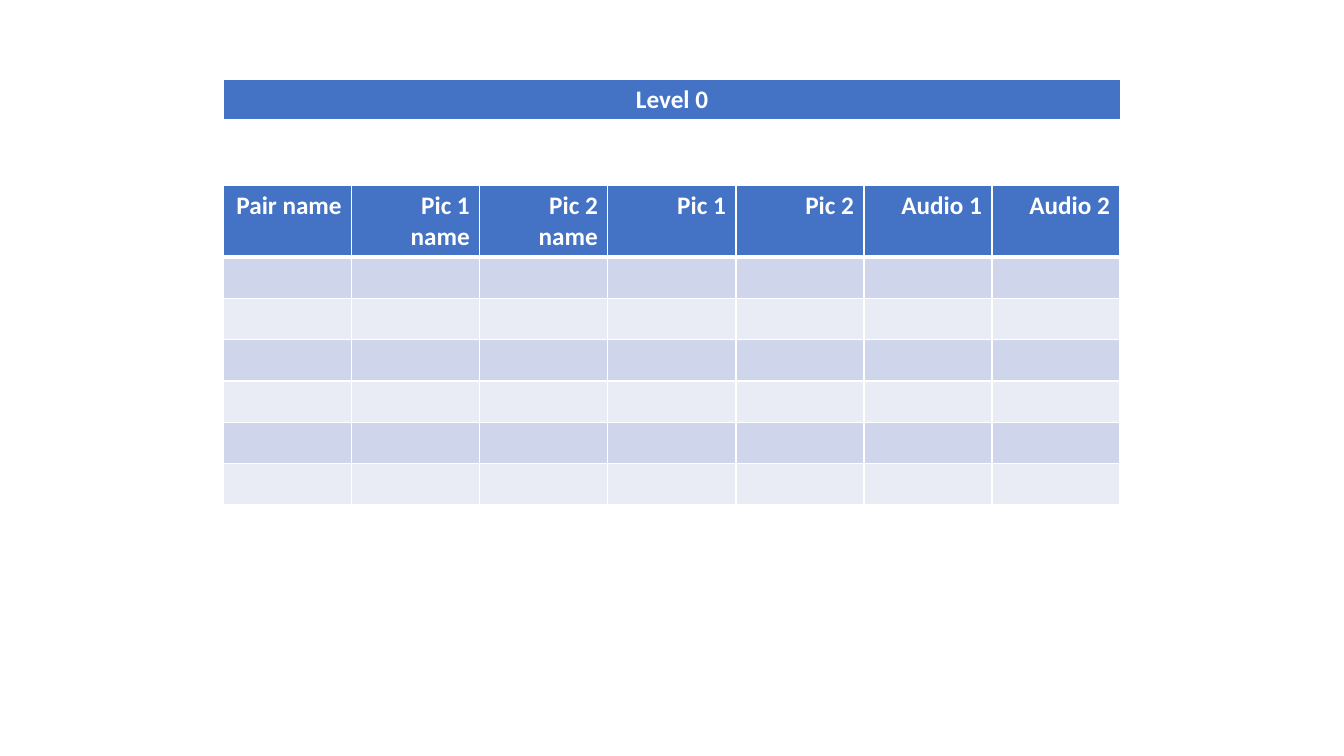
"""Build the Level 0 slide: a heading bar and an empty pair table."""
from pptx import Presentation
from pptx import util as u
from pptx.dml.color import RGBColor
from pptx.enum import text
from pptx.oxml.ns import qn
from lxml import etree

COLORS = {"header": "4472C4", "odd": "CFD5EA", "even": "E9EBF5", "white": "FFFFFF"}
HEADINGS = ["Pair name", "Pic 1 name", "Pic 2 name", "Pic 1", "Pic 2", "Audio 1", "Audio 2"]
EMPTY_ROWS = 6


def write(frame, words, *, size=18, font="Calibri", color="white", bold=True,
          align=text.PP_ALIGN.RIGHT):
    paragraph = frame.paragraphs[0]
    paragraph.alignment = align
    paragraph._p.get_or_add_pPr().set("rtl", "1")
    run = paragraph.add_run()
    run.text = words
    run.font.size = u.Pt(size)
    run.font.name = font
    run.font.bold = bold
    run.font.color.rgb = RGBColor.from_string(COLORS[color])


class SlideBuilder:
    left, width, row_height = 2.22, 8.89, 0.41
    thin, thick = 1, 3

    def __init__(self, slide):
        self.slide = slide

    def border(self, cell, **widths):
        properties = cell._tc.get_or_add_tcPr()
        for side in "LRTB":
            width = u.Pt(widths.get(side, self.thin))
            line = etree.SubElement(properties, qn(f"a:ln{side}"), w=str(width))
            fill = etree.SubElement(line, qn("a:solidFill"))
            etree.SubElement(fill, qn("a:srgbClr"), val=COLORS["white"])

    def fill(self, cell, color):
        cell.fill.solid()
        cell.fill.fore_color.rgb = RGBColor.from_string(COLORS[color])

    def table(self, top, headings, empty_rows=0, align=text.PP_ALIGN.RIGHT):
        rows = empty_rows + 1
        table = self.slide.shapes.add_table(
            rows, len(headings), u.Inches(self.left), u.Inches(top),
            u.Inches(self.width), u.Inches(self.row_height * rows)).table
        for row_index, row in enumerate(table.rows):
            is_header = row_index == 0
            color = "header" if is_header else "odd" if row_index % 2 else "even"
            for cell in row.cells:
                self.border(cell, B=self.thick if is_header else self.thin,
                            T=self.thick if row_index == 1 else self.thin)
                self.fill(cell, color)
        for cell, heading in zip(table.rows[0].cells, headings):
            write(cell.text_frame, heading, align=align)


def main():
    presentation = Presentation()
    presentation.slide_width = u.Inches(13.33)
    presentation.slide_height = u.Inches(7.5)
    builder = SlideBuilder(presentation.slides.add_slide(presentation.slide_layouts[6]))
    builder.table(1.84, HEADINGS, EMPTY_ROWS)
    builder.table(0.79, ["Level 0"], align=text.PP_ALIGN.CENTER)
    presentation.save("out.pptx")


if __name__ == "__main__":
    main()
